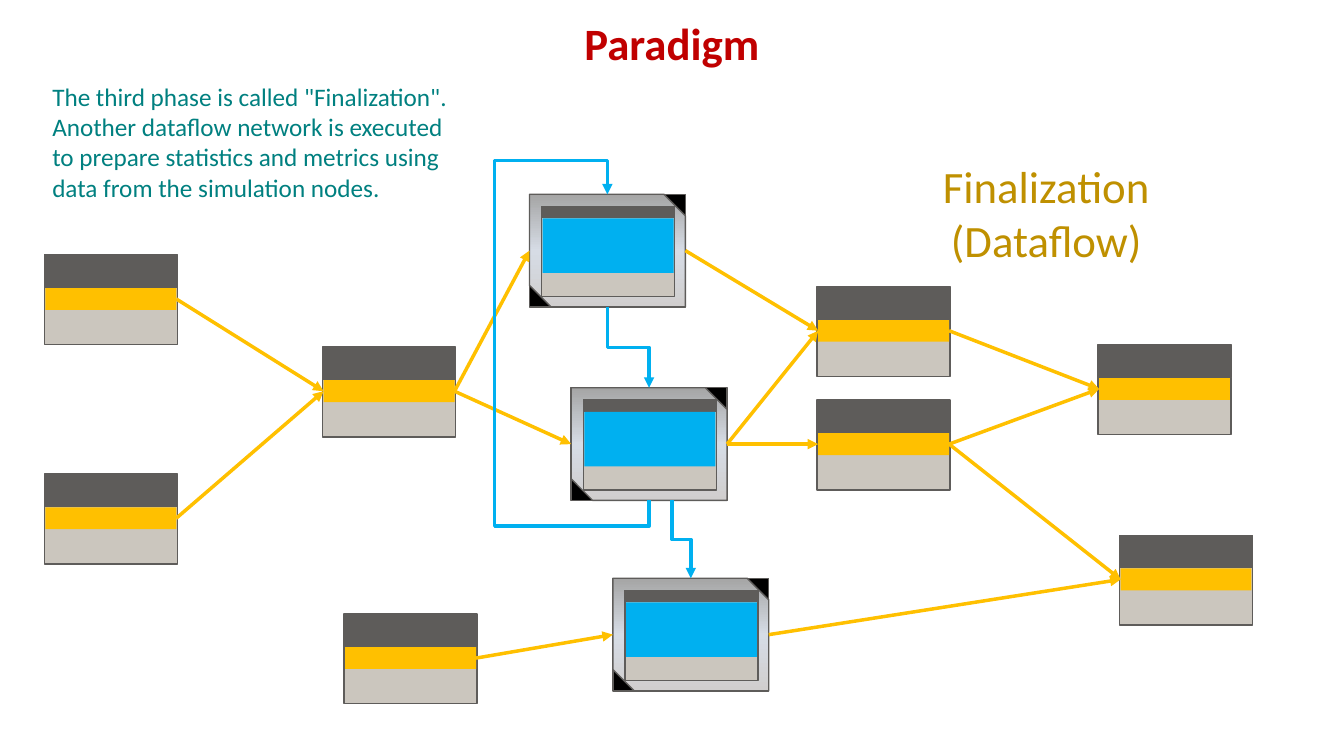
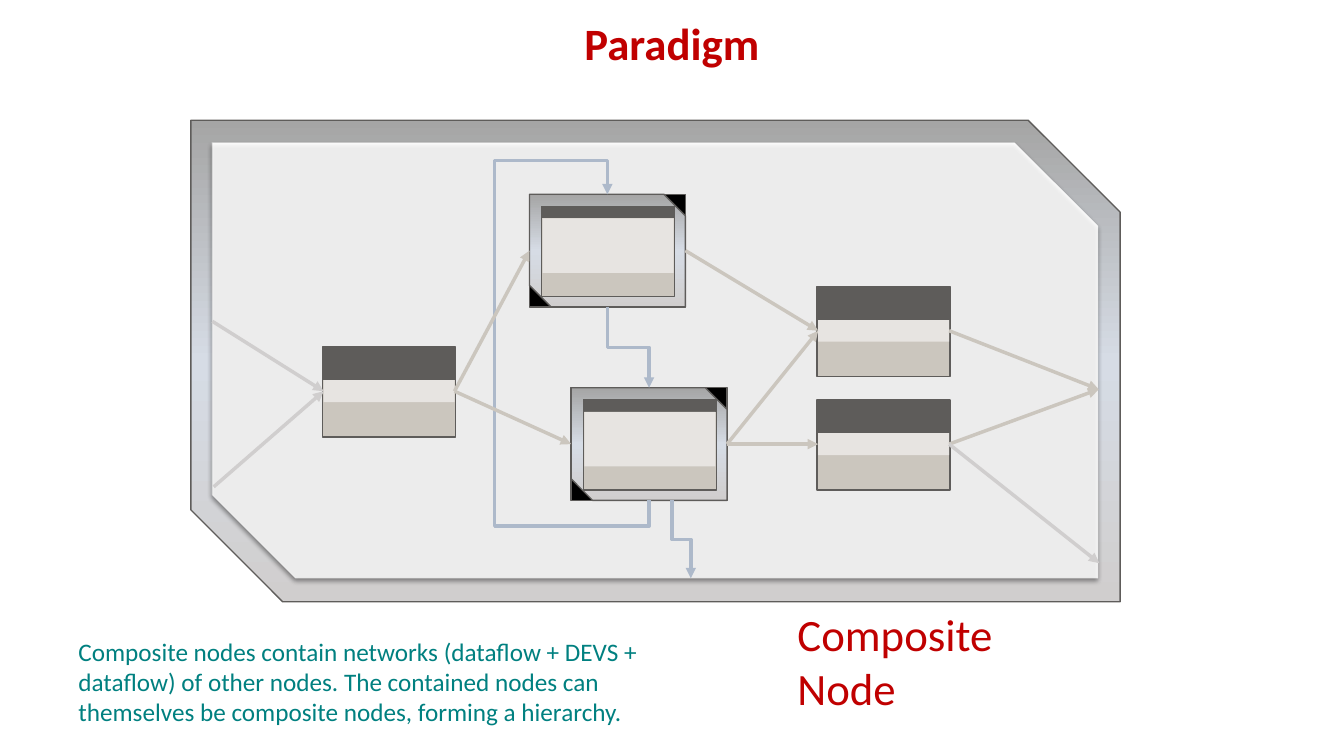
from copy import deepcopy

from lxml import etree
from pptx import Presentation
from pptx.dml.color import RGBColor
from pptx.enum import shapes, text
from pptx.oxml.ns import qn
from pptx.util import Emu, Inches, Pt

RED = RGBColor(0xC0, 0x00, 0x00)
TEAL = RGBColor(0x00, 0x80, 0x80)
GOLD = RGBColor(0xBF, 0x90, 0x00)
AMBER = RGBColor(0xFF, 0xC0, 0x00)
SKY = RGBColor(0x00, 0xB0, 0xF0)
STEEL = RGBColor(0xAD, 0xB9, 0xCA)
SAND = RGBColor(0xCB, 0xC6, 0xBE)
PALE = RGBColor(0xE7, 0xE4, 0xE1)
SILVER = RGBColor(0xD0, 0xCE, 0xCE)
MIST = RGBColor(0xD6, 0xDC, 0xE5)
GRAY = RGBColor(0xA5, 0xA5, 0xA5)
DARK = RGBColor(0x5E, 0x5C, 0x5A)
BLACK = RGBColor(0x00, 0x00, 0x00)
WHITE = RGBColor(0xFF, 0xFF, 0xFF)
METAL = [(0, SILVER), (0.5, MIST), (1, GRAY)]

RECT = shapes.MSO_SHAPE.RECTANGLE
SNIPPED = shapes.MSO_SHAPE.SNIP_2_DIAG_RECTANGLE
STRAIGHT = shapes.MSO_CONNECTOR.STRAIGHT
ELBOW = shapes.MSO_CONNECTOR.ELBOW
LEFT, CENTER = text.PP_ALIGN.LEFT, text.PP_ALIGN.CENTER
TOP, BOTTOM = text.MSO_ANCHOR.TOP, text.MSO_ANCHOR.BOTTOM
FIXED, GROW = text.MSO_AUTO_SIZE.NONE, text.MSO_AUTO_SIZE.SHAPE_TO_FIT_TEXT

deck = Presentation()
deck.slide_width, deck.slide_height = Inches(13.333), Inches(7.5)
COL, ROW = deck.slide_width / 100, deck.slide_height / 100

NODE_W, HEADER_H, BODY_H, BAND_H = 9.9, 4.3, 7.6, 2.9
NODE_H = HEADER_H + BODY_H
INSET_X, INSET_Y = 0.08, 0.1
BAND_W = NODE_W - 2 * INSET_X
CASE_W, CASE_H, CASE_X, CASE_Y = 11.6, 14.9, 0.9, 1.6
CASE_HEADER_H, WINDOW_H = 1.5, 7.2

NODES = {
    "reader": (3.3, 33.7), "loader": (3.3, 62.7), "merge": (24, 45.9),
    "setup": (25.6, 81.2), "upper": (60.8, 37.9), "lower": (60.8, 52.9),
    "metrics": (81.7, 45.6), "summary": (83.3, 70.8),
}
CASES = {"first": (39.4, 25.7), "second": (42.5, 51.3), "third": (45.6, 76.5)}

first_x, second_x, third_x = (x + CASE_W / 2 for x, _ in CASES.values())
first_y, second_y, third_y = (y for _, y in CASES.values())
EVENTS = [
    ((first_x, first_y + CASE_H), (second_x, second_y)),
    ((50, second_y + CASE_H), (third_x, third_y)),
    ((second_x, second_y + CASE_H), (first_x, first_y)),
]
INNER_FLOWS = [
    ("merge", "first"), ("merge", "second"), ("first", "upper"),
    ("second", "lower"), ("second", "upper"),
]
OUTER_FLOWS = [
    ("reader", "merge"), ("loader", "merge"), ("setup", "third"),
    ("upper", "metrics"), ("lower", "metrics"), ("lower", "summary"),
    ("third", "summary"),
]
PORT = (81.75, 51.5)
PORT_FLOWS = [("upper", PORT), ("lower", PORT)]
EDGE_FLOWS = [("lower", (81.8, 74.5)), ((15.8, 42.5), "merge"), ((15.9, 64.4), "merge")]


def add_box(parent, preset, place, fill, outline=None):
    x, y, w, h = place
    box = parent.shapes.add_shape(
        preset, Emu(round(x * COL)), Emu(round(y * ROW)), Emu(round(w * COL)), Emu(round(h * ROW)))
    box.shadow.inherit = False
    if preset == SNIPPED:
        box.adjustments[0], box.adjustments[1] = 0, 0.191
    if isinstance(fill, list):
        box.fill.gradient()
        box.fill.gradient_angle = 90
        stops = box._element.spPr.find(".//" + qn("a:gsLst"))
        stops.append(deepcopy(stops[-1]))
        for stop, (position, color) in zip(box.fill.gradient_stops, fill):
            stop.position, stop.color.rgb = position, color
    else:
        box.fill.solid()
        box.fill.fore_color.rgb = fill
    if outline is None:
        box.line.fill.background()
    else:
        box.line.color.rgb, box.line.width = outline, Pt(1)
    return box


def add_link(slide, kind, start, end, color, ports):
    (x0, y0), (x1, y1) = [
        (0, 0) if isinstance(stop, str) else (stop[0] * COL, stop[1] * ROW)
        for stop in (start, end)]
    rising = y1 < y0
    if kind == ELBOW:
        mid_x, mid_y = (x0 + x1) / 2, (y0 + y1) / 2
        half_w, half_h = abs(y1 - y0) / 2, abs(x1 - x0) / 2
        x0, x1, y0, y1 = mid_x + half_w, mid_x - half_w, mid_y - half_h, mid_y + half_h
    link = slide.shapes.add_connector(kind, *(Emu(round(v)) for v in (x0, y0, x1, y1)))
    if start in ports:
        link.begin_connect(ports[start], 3)
    if end in ports:
        link.end_connect(ports[end], 1)
    link.line.color.rgb, link.line.width = color, Pt(2.5)
    props = link._element.spPr
    etree.SubElement(props.find(qn("a:ln")), qn("a:tailEnd"), type="triangle")
    etree.SubElement(props, qn("a:effectLst"))
    if kind == ELBOW:
        props.find(qn("a:xfrm")).set("rot", str((90 if rising else 270) * 60000))
        shape_geometry = props.find(qn("a:prstGeom"))
        bends = [-8400, 370500, 111000] if rising else [50000]
        shape_geometry.set("prst", f"bentConnector{len(bends) + 2}")
        guides = shape_geometry.find(qn("a:avLst"))
        for number, bend in enumerate(bends, 1):
            etree.SubElement(guides, qn("a:gd"), name=f"adj{number}", fmla=f"val {bend}")


TITLE = ("Paradigm", (0, 2.1, 100, 7.9), CENTER, BOTTOM, FIXED, 0.9,
         {"size": Pt(32), "bold": True}, RED)
HEADING, NOTE = {"size": Pt(32)}, {"size": Pt(18)}

PAGES = [
    {
        "framed": False, "nodes": list(NODES), "cases": ["third", "second", "first"],
        "band": AMBER, "window": SKY,
        "links": [(STRAIGHT, *flow, AMBER) for flow in INNER_FLOWS + OUTER_FLOWS]
        + [(ELBOW, *event, SKY) for event in EVENTS],
        "texts": [
            TITLE,
            ("Finalization (Dataflow)", (65.8, 20.4, 24.1, 15.7), CENTER, TOP, GROW, 1,
             HEADING, GOLD),
            ('The third phase is called "Finalization". Another dataflow network is executed '
             "to prepare statistics and metrics using data from the simulation nodes.",
             (3.15, 10.1, 31.9, 17.5), LEFT, TOP, GROW, 1, NOTE, TEAL),
        ],
    },
    {
        "framed": True, "nodes": ["merge", "upper", "lower"], "cases": ["second", "first"],
        "band": PALE, "window": PALE,
        "links": [(ELBOW, *event, STEEL) for event in EVENTS]
        + [(STRAIGHT, *flow, SAND) for flow in INNER_FLOWS + PORT_FLOWS]
        + [(STRAIGHT, *flow, SILVER) for flow in EDGE_FLOWS],
        "texts": [
            TITLE,
            ("Composite\nNode", (58.6, 79.6, 24.75, 15.7), LEFT, TOP, GROW, 1, HEADING, RED),
            ("Composite nodes contain networks (dataflow + DEVS + dataflow) of other nodes. "
             "The contained nodes can themselves be composite nodes, forming a hierarchy.",
             (5.1, 83.5, 46.2, 13.5), LEFT, TOP, GROW, 1, NOTE, TEAL),
        ],
    },
]

for page in PAGES:
    slide = deck.slides.add_slide(deck.slide_layouts[6])
    ports = {}

    if page["framed"]:
        add_box(slide, SNIPPED, (14.2, 15.9, 69.15, 63.7), METAL, DARK)
        for x, y, opacity in [(15.8, 18.9, 100), (15.75, 18.8, 35)]:
            panel = add_box(slide, SNIPPED, (x, y, 65.9, 57.6), WHITE)
            props = panel._element.spPr
            shadow = etree.SubElement(
                props.find(qn("a:effectLst")), qn("a:outerShdw"), blurRad=str(Pt(3.5)),
                dist=str(Pt(2.2)), dir="5400000", algn="t", rotWithShape="0")
            shade = etree.SubElement(shadow, qn("a:srgbClr"), val=str(BLACK))
            etree.SubElement(shade, qn("a:alpha"), val="32000")
            if opacity < 100:
                white = props.find(qn("a:solidFill"))[0]
                etree.SubElement(white, qn("a:alpha"), val=str(opacity * 1000))

    for name in page["nodes"]:
        x, y = NODES[name]
        node = slide.shapes.add_group_shape()
        body_y = y + HEADER_H
        add_box(node, RECT, (x, body_y, NODE_W, BODY_H), SAND, DARK)
        ports[name] = add_box(
            node, RECT, (x + INSET_X, body_y + INSET_Y, BAND_W, BAND_H), page["band"])
        add_box(node, RECT, (x, y, NODE_W, HEADER_H), DARK, DARK)

    for name in page["cases"]:
        x, y = CASES[name]
        case = slide.shapes.add_group_shape()
        ports[name] = add_box(case, RECT, (x, y, CASE_W, CASE_H), BLACK, DARK)
        add_box(case, SNIPPED, (x, y, CASE_W, CASE_H), METAL, DARK)
        x, y = x + CASE_X, y + CASE_Y
        add_box(case, RECT, (x, y, NODE_W, NODE_H), SAND, DARK)
        add_box(case, RECT, (x, y, NODE_W, CASE_HEADER_H), DARK, DARK)
        add_box(case, RECT, (x + INSET_X, y + CASE_HEADER_H + INSET_Y, BAND_W, WINDOW_H),
                page["window"])

    for kind, start, end, color in page["links"]:
        add_link(slide, kind, start, end, color, ports)

    for words, (x, y, w, h), align, anchor, fit, spacing, style, color in page["texts"]:
        frame = slide.shapes.add_textbox(
            Emu(round(x * COL)), Emu(round(y * ROW)),
            Emu(round(w * COL)), Emu(round(h * ROW))).text_frame
        frame.word_wrap, frame.vertical_anchor, frame.auto_size = True, anchor, fit
        frame.text = words
        for paragraph in frame.paragraphs:
            paragraph.alignment, paragraph.line_spacing = align, spacing
            font = paragraph.runs[0].font
            for key, value in {"name": "Calibri", **style}.items():
                setattr(font, key, value)
            font.color.rgb = color

deck.save("out.pptx")
